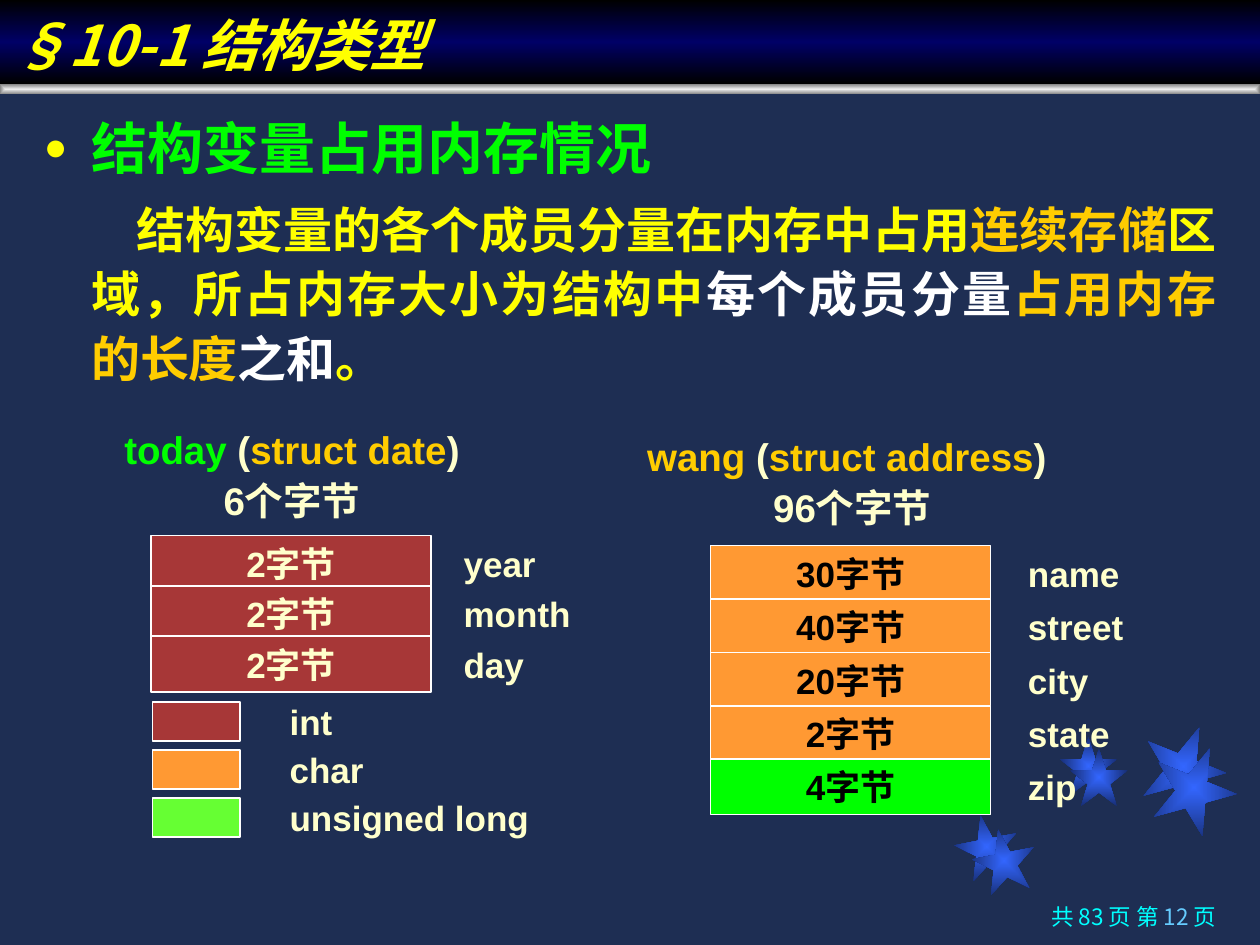
import pptx
import pptx.util
import pptx.dml.color
import pptx.enum.shapes
import pptx.enum.text
import pptx.oxml
import pptx.oxml.ns

Pt = pptx.util.Pt
SHAPE = pptx.enum.shapes.MSO_SHAPE
ALIGN = pptx.enum.text.PP_ALIGN
ANCHOR = pptx.enum.text.MSO_ANCHOR
NS = pptx.oxml.ns.nsdecls("a")

CJK = "Noto Sans CJK SC"
YELLOW, GOLD, CREAM, WHITE, BLACK = "FFFF00", "FFCC00", "FFFFCC", "FFFFFF", "000000"
GREEN, LIME, RED, ORANGE = "00FF00", "66FF33", "A73737", "FF9933"
CYAN, SKY = "00FFFF", "66CCFF"


def rgb(value):
    return pptx.dml.color.RGBColor.from_string(value)


def box(x, y, w, h, paras=(), fill=None, anchor=ANCHOR.MIDDLE, wrap=True, font=None, para=None):
    """Add a text box, or an outlined rectangle if filled; paras hold (text, colour) runs."""
    at = Pt(x), Pt(y), Pt(w), Pt(h)
    if fill:
        sp = s.shapes.add_shape(SHAPE.RECTANGLE, *at)
        sp.shadow.inherit = False
        sp.fill.solid()
        sp.fill.fore_color.rgb = rgb(fill)
        sp.line.color.rgb = rgb(WHITE)
        sp.line.width = Pt(1)
    else:
        sp = s.shapes.add_textbox(*at)
    tf = sp.text_frame
    tf.word_wrap = wrap
    tf.vertical_anchor = anchor
    for i, runs in enumerate(paras):
        p = tf.paragraphs[0] if i == 0 else tf.add_paragraph()
        for key, value in {"alignment": ALIGN.LEFT, **(para or {})}.items():
            setattr(p, key, value)
        for text, color in runs:
            r = p.add_run()
            r.text = text
            for key, value in {"size": Pt(20), "name": "Arial", "bold": True, **(font or {})}.items():
                setattr(r.font, key, value)
            r.font.color.rgb = rgb(color)
            r.font._element.append(pptx.oxml.parse_xml(f'<a:ea {NS} typeface="{CJK}"/>'))
    return sp


prs = pptx.Presentation()
prs.slide_width, prs.slide_height = Pt(720), Pt(540)
s = prs.slides.add_slide(prs.slide_layouts[6])
s.background.fill.solid()
s.background.fill.fore_color.rgb = rgb("1E2E53")

# Decorative stars (each drawn twice, offset) and the bar under the title
FROM_CENTER = ('<a:path path="rect"><a:fillToRect l="50000" t="50000" '
               'r="50000" b="50000"/></a:path>')
DOWNWARD = '<a:lin ang="5400000" scaled="0"/>'
gradients = []
for x, y, size, angle, dx, dy in [
    (545.8, 465.8, 36, 349, 10, 8),
    (605.5, 421.2, 33, 0, 6, 6.5),
    (652.3, 414, 48, 22, 6, 12),
]:
    for n in range(2):
        sp = s.shapes.add_shape(SHAPE.STAR_5_POINT, Pt(x + n * dx), Pt(y + n * dy), Pt(size), Pt(size))
        sp.rotation = angle
        gradients.append((sp, ["3366FF", "182F76"], FROM_CENTER))
bar = box(0, 48, 720, 6, fill=WHITE)
gradients.append((bar, ["EDEDED", "808080"], FROM_CENTER))

# Body text
body = box(18, 57.6, 684, 173.5, [
    [("结构变量占用内存情况", GREEN)],
    [("结构变量的各个成员分量在内存中占用", YELLOW), ("连续存储", GOLD),
     ("区域，所占内存大小为结构中", YELLOW), ("每个成员分量", WHITE),
     ("占用内存的长度", GOLD), ("之和", WHITE), ("。", YELLOW)],
], anchor=ANCHOR.TOP, font={"name": CJK, "size": Pt(28)},
    para={"alignment": ALIGN.JUSTIFY, "line_spacing": 1.1})
heading, detail = body.text_frame.paragraphs
heading.runs[0].font.size = Pt(32)
detail.space_before = Pt(7)
for p, indent in [(heading, -27), (detail, 26)]:
    pPr = p._p.get_or_add_pPr()
    pPr.set("marL", str(Pt(27)))
    pPr.set("indent", str(Pt(indent)))
for xml in [f'<a:buClr {NS}><a:srgbClr val="{YELLOW}"/></a:buClr>',
            f'<a:buSzPct {NS} val="70000"/>',
            f'<a:buFont {NS} typeface="Arial"/>',
            f'<a:buChar {NS} char="●"/>']:
    heading._p.get_or_add_pPr().append(pptx.oxml.parse_xml(xml))

# Memory layouts of the two structures
CENTER = {"alignment": ALIGN.CENTER}
layouts = [
    ((62.3, 242.6, 209), [("today", GREEN), (" (", CREAM), ("struct date", GOLD), (")", CREAM)],
     "6个字节", (86.4, 306, 28.8), 257.8, CREAM,
     [("2字节", "year", RED), ("2字节", "month", RED), ("2字节", "day", RED)]),
    ((362.2, 246.6, 243.4), [("wang ", GOLD), ("(", CREAM), ("struct address", GOLD), (")", CREAM)],
     " 96个字节", (406.1, 311.8, 30.5), 580.3, BLACK,
     [("30字节", "name", ORANGE), ("40字节", "street", ORANGE), ("20字节", "city", ORANGE),
      ("2字节", "state", ORANGE), ("4字节", "zip", GREEN)]),
]
for (x, y, w), title, total, (cell_x, top, pitch), label_x, color, members in layouts:
    caption = box(x, y, w, 60.5, [title, [(total, CREAM)]], font={"size": Pt(22)},
                  para={**CENTER, "line_spacing": 0.9})
    caption.text_frame.paragraphs[1].space_before = Pt(5.5)
    for i, (size, member, fill) in enumerate(members):
        cell_y = top + i * pitch
        box(cell_x, cell_y, 160, 31.7, [[(size, color)]], fill=fill, para=CENTER)
        box(label_x, cell_y, 96, 31.7, [[(member, CREAM)]])

# Legend of member types
for i, (kind, fill) in enumerate([("int", RED), ("char", ORANGE), ("unsigned long", LIME)]):
    y = 401 + i * 27.4
    box(87.2, y, 50, 22.3, fill=fill)
    box(158.4, y - 4.3, 170, 31.7, [[(kind, CREAM)]])

# Title band and page number
band = box(0, 0, 720, 48, [[("§10-1 结构类型", YELLOW)]], fill=BLACK, anchor=ANCHOR.BOTTOM,
           font={"name": CJK, "size": Pt(32), "italic": True})
gradients.append((band, [BLACK, "000066", BLACK], DOWNWARD))
box(512.6, 514, 189.4, 26, [[("共 83 页 第 ", CYAN), ("12 ", SKY), ("页", CYAN)]],
    anchor=ANCHOR.TOP, font={"name": CJK, "size": Pt(12.9), "bold": False},
    para={"alignment": ALIGN.RIGHT, "line_spacing": 0.9})

for sp, colors, direction in gradients:
    sp.shadow.inherit = False
    sp.line.fill.background()
    sp.fill.solid()
    stops = "".join(f'<a:gs pos="{100000 * i // (len(colors) - 1)}"><a:srgbClr val="{c}"/></a:gs>'
                    for i, c in enumerate(colors))
    solid = sp._element.spPr.find(pptx.oxml.ns.qn("a:solidFill"))
    solid.getparent().replace(solid, pptx.oxml.parse_xml(
        f'<a:gradFill {NS} rotWithShape="1"><a:gsLst>{stops}</a:gsLst>{direction}</a:gradFill>'))

prs.save("out.pptx")
